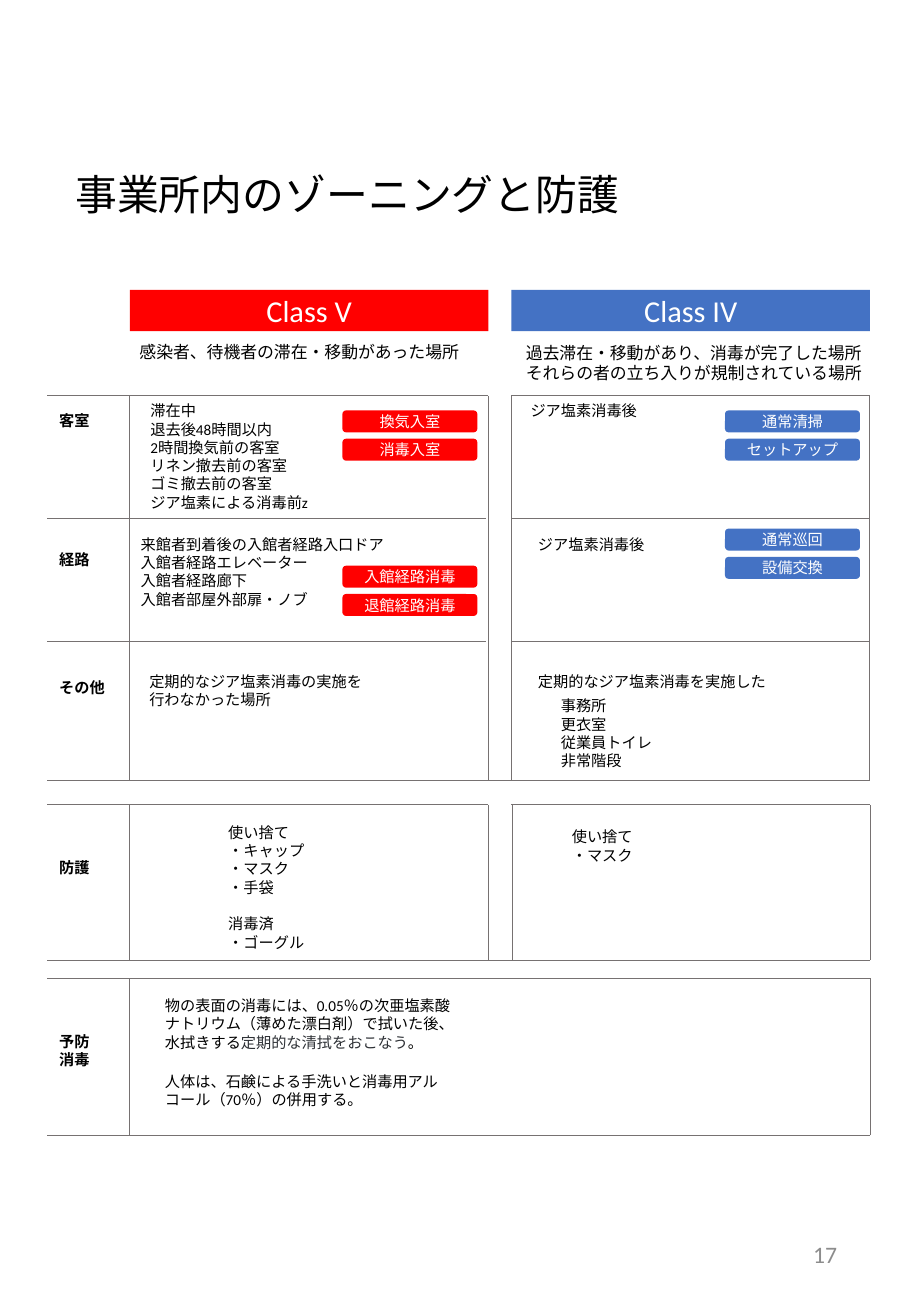
import pptx
import pptx.util
import pptx.dml.color
import pptx.enum.lang
import pptx.enum.shapes
import pptx.enum.text
import pptx.oxml
import pptx.oxml.ns

Pt = pptx.util.Pt
ALIGN = pptx.enum.text.PP_ALIGN
SHAPE = pptx.enum.shapes.MSO_SHAPE
MIDDLE = pptx.enum.text.MSO_ANCHOR.MIDDLE
FACE = "Calibri"
COLORS = {"red": "FF0000", "blue": "4472C4", "line": "767171", "black": "000000",
          "white": "FFFFFF", "dark": "2E3136", "gray": "8C8C8C"}

# Column edges: row labels, Class V, Class IV
EDGE, V_LEFT, V_RIGHT, IV_LEFT, IV_RIGHT = 28, 77, 289.5, 303.2, 515.6
V_INNER = 288
WIDE = V_RIGHT - V_LEFT
# Row edges: zones, protection, prevention
ZONES = (234.7, 307.4, 380.2, 463)
GUARD = (477.4, 569.5)
CLEAN = (580.3, 673.2)


def color(name):
    return pptx.dml.color.RGBColor.from_string(COLORS[name])


def style(run, size, tint="black", bold=False, face=FACE):
    font = run.font
    font.size, font.bold, font.name = Pt(size), bold, face
    font.color.rgb = color(tint)
    font.language_id = pptx.enum.lang.MSO_LANGUAGE_ID.JAPANESE
    east = pptx.oxml.parse_xml(
        f'<a:ea {pptx.oxml.ns.nsdecls("a")} typeface="{face}"/>')
    font._element.append(east)


def write(frame, text, size, tint="black", bold=False, align=ALIGN.LEFT):
    frame.text = text
    for para in frame.paragraphs:
        para.alignment = align
        for run in para.runs:
            style(run, size, tint, bold)


def label(slide, left, top, width, text, size=9, bold=False):
    high = 7.2 + 1.22 * size * (text.count("\n") + 1)
    box = slide.shapes.add_textbox(Pt(left), Pt(top), Pt(width), Pt(high))
    box.text_frame.word_wrap = True
    write(box.text_frame, text, size, bold=bold)
    return box


def block(slide, kind, left, top, width, high, text, size, fill):
    shape = slide.shapes.add_shape(kind, Pt(left), Pt(top), Pt(width), Pt(high))
    shape.shadow.inherit = False
    shape.fill.solid()
    shape.fill.fore_color.rgb = color(fill)
    shape.line.fill.background()
    frame = shape.text_frame
    frame.vertical_anchor = MIDDLE
    frame.margin_top = frame.margin_bottom = 0
    write(frame, text, size, "white", align=ALIGN.CENTER)


def badges(slide, left, top, names, fill):
    for i, name in enumerate(names):
        block(slide, SHAPE.ROUNDED_RECTANGLE, left, top + 16.8 * i, 80, 13,
              name, 9, fill)


def rule(slide, x1, y1, x2, y2):
    line = slide.shapes.add_connector(
        pptx.enum.shapes.MSO_CONNECTOR.STRAIGHT, Pt(x1), Pt(y1), Pt(x2), Pt(y2))
    line.line.color.rgb = color("line")
    line.line.width = Pt(0.5)
    line._element.spPr.append(
        pptx.oxml.parse_xml(f'<a:effectLst {pptx.oxml.ns.nsdecls("a")}/>'))


def grid(slide):
    top, *inner, base = ZONES
    for y in (top, GUARD[0]):
        rule(slide, EDGE, y, V_RIGHT, y)
        rule(slide, IV_LEFT, y, IV_RIGHT, y)
    for y in inner:
        rule(slide, EDGE, y, V_INNER, y)
        rule(slide, IV_LEFT, y, IV_RIGHT, y)
    for y in (base, GUARD[1], *CLEAN):
        rule(slide, EDGE, y, IV_RIGHT, y)
    # The lower boxes sit slightly further right on the Class IV side
    low = 0.6
    walls = [((top, base), (V_LEFT, V_RIGHT, IV_LEFT, IV_RIGHT)),
             (GUARD, (V_LEFT, V_RIGHT, IV_LEFT + low, IV_RIGHT + low)),
             (CLEAN, (V_LEFT, IV_RIGHT + low))]
    for (y1, y2), edges in walls:
        for x in edges:
            rule(slide, x, y2, x, y1)


def heading(slide):
    title = slide.shapes.title
    title.left, title.top = Pt(37.4), Pt(41.8)
    title.width, title.height = Pt(465.8), Pt(150.5)
    frame = title.text_frame
    frame.word_wrap = True
    frame.auto_size = pptx.enum.text.MSO_AUTO_SIZE.NONE
    frame.vertical_anchor = MIDDLE
    write(frame, "事業所内のゾーニングと防護", 24.8)
    frame.paragraphs[0].line_spacing = 0.9


def number(slide):
    box = slide.shapes.add_textbox(Pt(381.6), Pt(722.9), Pt(121.7), Pt(41.8))
    box.text_frame.word_wrap = True
    box.text_frame.vertical_anchor = MIDDLE
    write(box.text_frame, "17", 14, "gray", align=ALIGN.RIGHT)


def main():
    deck = pptx.Presentation()
    deck.slide_width, deck.slide_height = Pt(540), Pt(780.48)
    slide = deck.slides.add_slide(deck.slide_layouts[5])
    heading(slide)

    # Class headers
    for left, name, fill in ((V_LEFT, "Class V", "red"), (IV_LEFT, "Class IV", "blue")):
        block(slide, SHAPE.RECTANGLE, left, 172, WIDE, 24.5, name, 18, fill)
    label(slide, 75.6, 199.4, WIDE, "感染者、待機者の滞在・移動があった場所", 10)
    label(slide, 304.6, 199.4, 217.4,
          "過去滞在・移動があり、消毒が完了した場所\n"
          "それらの者の立ち入りが規制されている場所", 10)
    grid(slide)

    # Row labels
    for top, name in ((240.5, "客室"), (322.6, "経路"), (398.9, "その他"),
                      (505.4, "防護"), (608.4, "予防\n消毒")):
        label(slide, EDGE, top, 48.2, name, bold=True)

    # Zone cells
    cells = [
        (82.1, 234.7, 175, "滞在中\n退去後48時間以内\n2時間換気前の客室\n"
         "リネン撤去前の客室\nゴミ撤去前の客室\nジア塩素による消毒前z"),
        (307.4, 234.7, 140, "ジア塩素消毒後"),
        (76.3, 313.9, 175, "来館者到着後の入館者経路入口ドア\n"
         "入館者経路エレベーター\n入館者経路廊下\n入館者部屋外部扉・ノブ"),
        (311.8, 313.9, 137, "ジア塩素消毒後"),
        (81.4, 395.3, 175, "定期的なジア塩素消毒の実施を\n行わなかった場所"),
        (311.8, 395.3, 175, "定期的なジア塩素消毒を実施した"),
        (325.4, 409.7, 72, "事務所\n更衣室\n従業員トイレ\n非常階段"),
        (331.9, 487.4, 64.8, "使い捨て\n・マスク"),
    ]
    for cell in cells:
        label(slide, *cell)

    # Task badges
    badges(slide, 203, 243.4, ("換気入室", "消毒入室"), "red")
    badges(slide, 203, 335.5, ("入館経路消毒", "退館経路消毒"), "red")
    badges(slide, 429.8, 243.4, ("通常清掃", "セットアップ"), "blue")
    badges(slide, 429.8, 313.5, ("通常巡回", "設備交換"), "blue")

    # Protective gear
    gear = label(slide, 128.2, 484.6, 72,
                 "使い捨て\n・キャップ\n・マスク\n・手袋\n消毒済\n・ゴーグル")
    gear.text_frame.paragraphs[4].space_before = Pt(11)

    # Preventive cleaning
    wipe = label(slide, 90.7, 587.5, 183.6,
                 "物の表面の消毒には、0.05％の次亜塩素酸ナトリウム"
                 "（薄めた漂白剤）で拭いた後、水拭きする")
    wipe.height = Pt(40.3)
    for text, tint, face in (("定期的な清拭をおこなう", "dark", "Noto Sans CJK JP"),
                             ("。", "black", FACE)):
        run = wipe.text_frame.paragraphs[0].add_run()
        run.text = text
        style(run, 9, tint, face=face)
    hands = label(slide, 90.7, 632.2, 183.6,
                  "人体は、石鹸による手洗いと消毒用アルコール（70％）の併用する。")
    hands.height = Pt(29)

    number(slide)
    deck.save("out.pptx")


if __name__ == "__main__":
    main()
